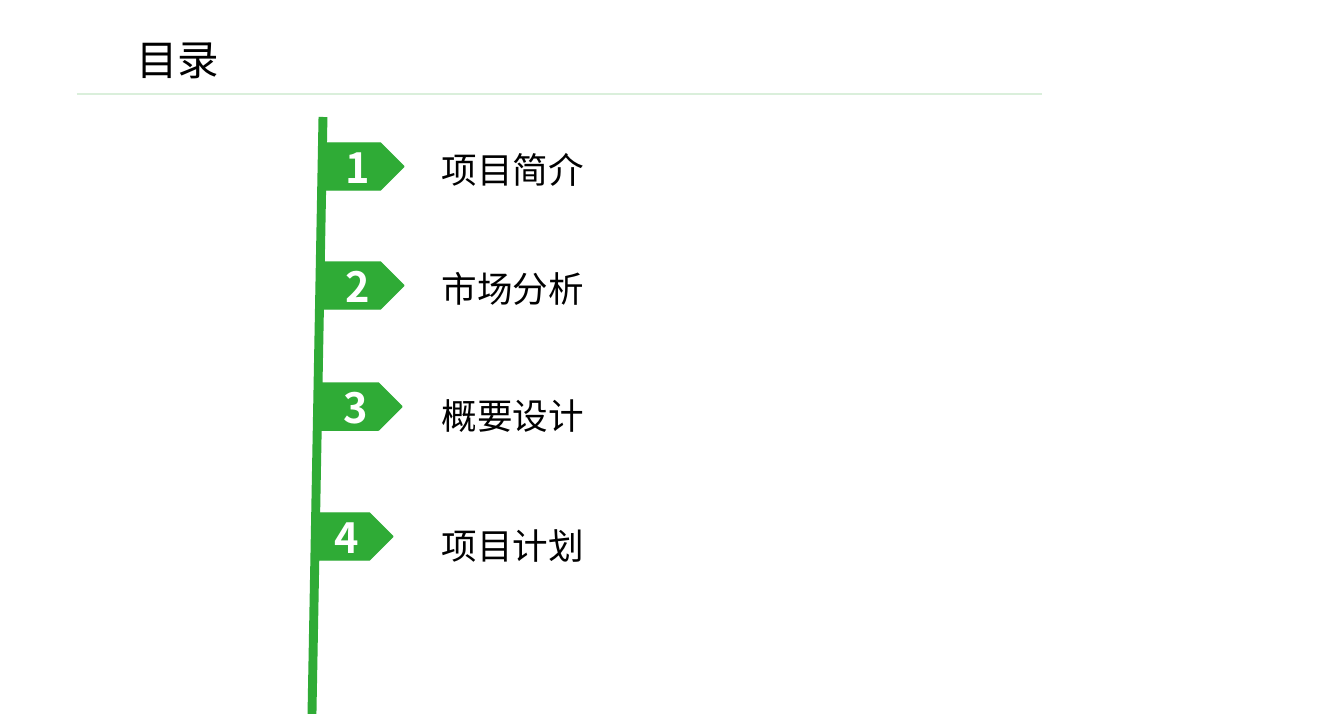
from lxml import etree
from pptx import Presentation
from pptx.dml.color import RGBColor
from pptx.enum.shapes import MSO_CONNECTOR, MSO_SHAPE
from pptx.enum.text import MSO_ANCHOR, PP_ALIGN
from pptx.oxml.ns import qn
from pptx.util import Pt

STRAIGHT = MSO_CONNECTOR.STRAIGHT
PENTAGON = MSO_SHAPE.PENTAGON
MIDDLE = MSO_ANCHOR.MIDDLE
LEFT, CENTER, JUSTIFY = PP_ALIGN.LEFT, PP_ALIGN.CENTER, PP_ALIGN.JUSTIFY

TITLE = "目录"
AGENDA = [
    ("项目简介", 323, 143, 143),
    ("市场分析", 323, 262, 262),
    ("概要设计", 321, 383, 389),
    ("项目计划", 312, 513, 519),
]
GREEN, PALE, BLACK, WHITE = "2FAB36", "DAEFDB", "000000", "FFFFFF"
CJK = "Noto Sans CJK SC"
EMU_PER_PX = 8570
TAG_W, TAG_H = 81, 47
LABEL_X, LABEL_W, LABEL_H = 431, 264, 53


def px(n):
    return round(n * EMU_PER_PX)


def rgb(value):
    return RGBColor.from_string(value)


def write(s, text, size, color, align, font=CJK, bold=False):
    tf = s.text_frame
    tf.word_wrap = True
    tf.vertical_anchor = MIDDLE
    tf.text = text
    p = tf.paragraphs[0]
    p.alignment = align
    r = p.runs[0]
    r.font.size = Pt(size)
    r.font.bold = bold
    r.font.name = font
    r.font.color.rgb = rgb(color)
    ea = etree.SubElement(r.font._element, qn("a:ea"))
    ea.set("typeface", CJK)
    return p


def add_text(slide, x, y, w, h, *style):
    s = slide.shapes.add_textbox(px(x), px(y), px(w), px(h))
    return write(s, *style)


def add_line(slide, x1, y1, x2, y2, color, width):
    s = slide.shapes.add_connector(STRAIGHT, px(x1), px(y1), px(x2), px(y2))
    s.line.color.rgb = rgb(color)
    s.line.width = Pt(width)
    etree.SubElement(s._element.spPr, qn("a:effectLst"))


def add_tag(slide, x, y, number):
    s = slide.shapes.add_shape(PENTAGON, px(x), px(y), px(TAG_W), px(TAG_H))
    s.shadow.inherit = False
    s.fill.solid()
    s.fill.fore_color.rgb = rgb(GREEN)
    s.line.color.rgb = rgb(GREEN)
    s.line.width = Pt(1)
    write(s, str(number), 28, WHITE, CENTER, CJK, True)


def main():
    prs = Presentation()
    prs.slide_width, prs.slide_height = px(1344), px(714)
    slide = prs.slides.add_slide(prs.slide_layouts[6])

    add_line(slide, 77, 94, 1042, 94, PALE, 1.5)
    title = add_text(slide, 126, 37, 164, 50, TITLE, 28, BLACK, JUSTIFY, "Calibri")
    title.line_spacing = 0.9

    add_line(slide, 312, 714, 323, 117, GREEN, 6)
    for number, (label, tag_x, tag_y, label_y) in enumerate(AGENDA, 1):
        add_tag(slide, tag_x, tag_y, number)
        add_text(slide, LABEL_X, label_y, LABEL_W, LABEL_H, label, 24, BLACK, LEFT)

    prs.save("out.pptx")


if __name__ == "__main__":
    main()
